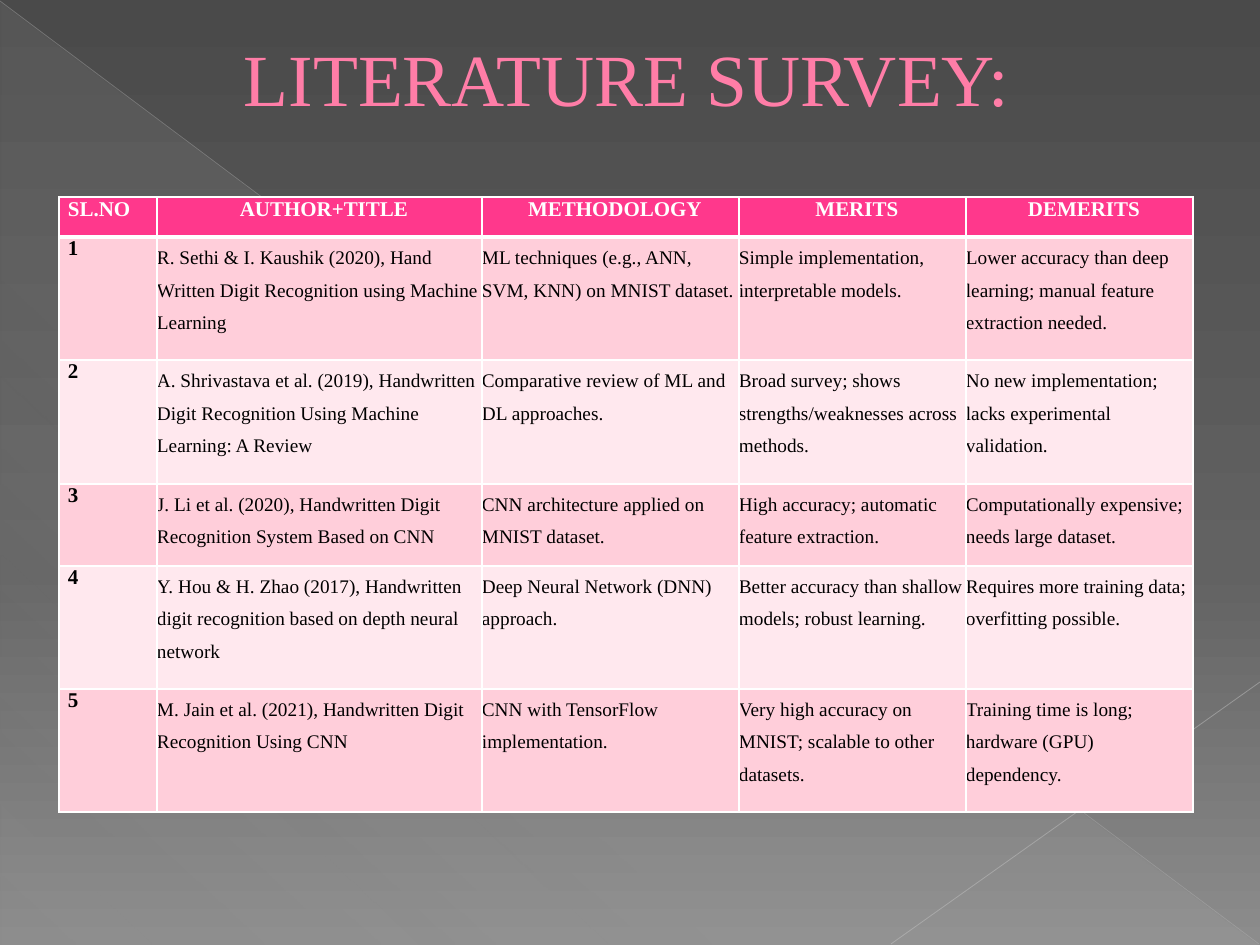
from lxml import etree
from pptx import Presentation
from pptx.dml.color import RGBColor
from pptx.enum.shapes import MSO_CONNECTOR, MSO_SHAPE
from pptx.enum.text import MSO_ANCHOR, PP_ALIGN
from pptx.oxml import parse_xml
from pptx.oxml.ns import qn
from pptx.util import Pt

PX = 914400 / 126
NS = 'xmlns:a="http://schemas.openxmlformats.org/drawingml/2006/main"'
FONT = "Times New Roman"

WHITE = RGBColor(0xFF, 0xFF, 0xFF)
BLACK = RGBColor(0x00, 0x00, 0x00)
TITLE_PINK = RGBColor(0xFF, 0x7D, 0xA7)
TITLE_EDGE = RGBColor(0xB1, 0x27, 0x61)
HEADER_PINK = RGBColor(0xFF, 0x38, 0x8C)
BANDS = RGBColor(0xFF, 0xCE, 0xDA), RGBColor(0xFF, 0xE8, 0xEE)
GREY = RGBColor(0xD2, 0xD2, 0xD2)
LEFT_LINE = RGBColor(0xBF, 0xBF, 0xBF)
RIGHT_LINE = RGBColor(0xC6, 0xC6, 0xC6)
BACKDROP = [(0, RGBColor(0x4A, 0x4A, 0x4A), 100),
            (60, RGBColor(0x62, 0x62, 0x62), 100),
            (100, RGBColor(0x8C, 0x8C, 0x8C), 100)]
SHEEN = [(0, GREY, 10), (70, GREY, 8), (100, GREY, 1)]

COLUMNS = [98, 325, 257, 227, 227]
ROWS = [40, 123, 124, 82, 123, 123]
HEADERS = ["SL.NO", "AUTHOR+TITLE", "METHODOLOGY", "MERITS", "DEMERITS"]
PAPERS = [
    ("R. Sethi & I. Kaushik (2020), Hand Written Digit Recognition using Machine Learning",
     "ML techniques (e.g., ANN, SVM, KNN) on MNIST dataset.",
     "Simple implementation, interpretable models.",
     "Lower accuracy than deep learning; manual feature extraction needed."),
    ("A. Shrivastava et al. (2019), Handwritten Digit Recognition Using Machine Learning: A Review",
     "Comparative review of ML and DL approaches.",
     "Broad survey; shows strengths/weaknesses across methods.",
     "No new implementation; lacks experimental validation."),
    ("J. Li et al. (2020), Handwritten Digit Recognition System Based on CNN",
     "CNN architecture applied on MNIST dataset.",
     "High accuracy; automatic feature extraction.",
     "Computationally expensive; needs large dataset."),
    ("Y. Hou & H. Zhao (2017), Handwritten digit recognition based on depth neural network",
     "Deep Neural Network (DNN) approach.",
     "Better accuracy than shallow models; robust learning.",
     "Requires more training data; overfitting possible."),
    ("M. Jain et al. (2021), Handwritten Digit Recognition Using CNN",
     "CNN with TensorFlow implementation.",
     "Very high accuracy on MNIST; scalable to other datasets.",
     "Training time is long; hardware (GPU) dependency."),
]


def px(n):
    return round(n * PX)


def solid(color):
    return f'<a:solidFill><a:srgbClr val="{color}"/></a:solidFill>'


def set_gradient(fill, stops, angle):
    """Give a fill any number of (position, colour, opacity) stops, in percent."""
    fill.gradient()
    fill.gradient_angle = -angle % 360
    gs_list = fill.gradient_stops._gsLst
    for gs in list(gs_list):
        gs_list.remove(gs)
    for position, color, opacity in stops:
        gs_list.append(parse_xml(
            f'<a:gs {NS} pos="{position * 1000}"><a:srgbClr val="{color}">'
            f'<a:alpha val="{opacity * 1000}"/></a:srgbClr></a:gs>'))


def add_line(s, start, end, color, width, opacity):
    line = s.shapes.add_connector(MSO_CONNECTOR.STRAIGHT, *map(px, start + end))
    line.line.color.rgb = color
    line.line.width = Pt(width)
    srgb = line.line._ln.find(".//" + qn("a:srgbClr"))
    etree.SubElement(srgb, qn("a:alpha")).set("val", str(opacity * 1000))
    etree.SubElement(line._element.spPr, qn("a:effectLst"))


def add_backdrop(s, x, y, w, h):
    set_gradient(s.background.fill, BACKDROP, 90)
    wedge = s.shapes.add_shape(MSO_SHAPE.RIGHT_TRIANGLE, px(x + 1), px(y + 2), px(w - 2), px(h - 2))
    wedge.shadow.inherit = False
    wedge.line.fill.background()
    set_gradient(wedge.fill, SHEEN, 133)
    add_line(s, (x, y + 1), (x + w - 1, y + h - 1), LEFT_LINE, 0.39, 35)
    add_line(s, (x + w, y + 682), (x + 891, y + h - 1), RIGHT_LINE, 0.47, 45)


def style(p, size, color, bold=False, indent=0):
    p.font.name = FONT
    p.font.size = Pt(size)
    p.font.bold = bold
    p.font.color.rgb = color
    if indent:
        pPr = p._p.get_or_add_pPr()
        pPr.set("marL", str(px(indent)))
        pPr.set("indent", "0")


def add_title(s, x, y, w, h):
    tf = s.shapes.add_textbox(px(x), px(y), px(w), px(h)).text_frame
    tf.word_wrap = True
    tf.vertical_anchor = MSO_ANCHOR.MIDDLE
    p = tf.paragraphs[0]
    r = p.add_run()
    r.text = "LITERATURE SURVEY:"
    p.alignment = PP_ALIGN.CENTER
    style(p, 42, TITLE_PINK, indent=67)
    r.font._element.insert(0, parse_xml(f'<a:ln {NS} w="6350">{solid(TITLE_EDGE)}</a:ln>'))


def fill_cell(cell, text, color, top=1, bottom=1):
    """Put text in a borderless-inset cell and return its paragraph."""
    cell.margin_left = cell.margin_right = cell.margin_top = cell.margin_bottom = 0
    tcPr = cell._tc.get_or_add_tcPr()
    for side, width in zip("LRTB", (1, 1, top, bottom)):
        tcPr.append(parse_xml(f'<a:ln{side} {NS} w="{Pt(width)}">{solid(WHITE)}</a:ln{side}>'))
    cell.fill.solid()
    cell.fill.fore_color.rgb = color
    p = cell.text_frame.paragraphs[0]
    p.add_run().text = text
    return p


def add_survey(s, x, y, w, h):
    table = s.shapes.add_table(len(ROWS), len(COLUMNS), px(x), px(y), px(w), px(h)).table
    for column, width in zip(table.columns, COLUMNS):
        column.width = px(width)
    for row, height in zip(table.rows, ROWS):
        row.height = px(height)

    for c, text in enumerate(HEADERS):
        p = fill_cell(table.cell(0, c), text, HEADER_PINK, bottom=3)
        p.alignment = PP_ALIGN.CENTER if c else PP_ALIGN.LEFT
        p.line_spacing = Pt(13.8)
        style(p, 12, WHITE, bold=True, indent=9)

    for n, paper in enumerate(PAPERS, 1):
        band, top = BANDS[(n - 1) % 2], 3 if n == 1 else 1
        p = fill_cell(table.cell(n, 0), str(n), band, top)
        p.space_before = Pt(7)
        style(p, 12, BLACK, bold=True, indent=9)
        for c, text in enumerate(paper, 1):
            p = fill_cell(table.cell(n, c), text, band, top)
            p.line_spacing = 1.5
            style(p, 11, BLACK)


def main():
    prs = Presentation()
    prs.slide_width, prs.slide_height = px(1260), px(945)
    s = prs.slides.add_slide(prs.slide_layouts[6])
    add_backdrop(s, 0, 0, 1260, 945)
    add_title(s, 63, 37, 1060, 81)
    add_survey(s, 59, 197, sum(COLUMNS), sum(ROWS))
    prs.save("out.pptx")


if __name__ == "__main__":
    main()
